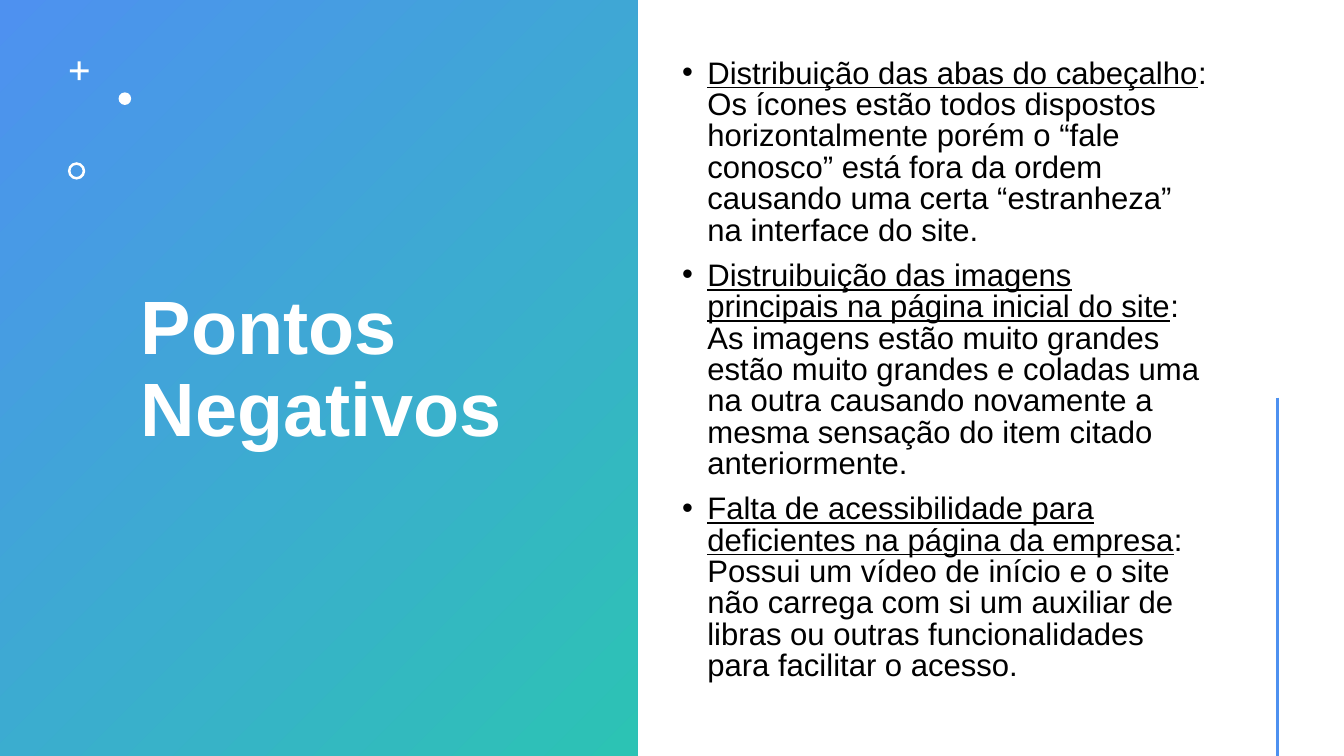
"""Builds the slide "Pontos Negativos" with a gradient panel and a bulleted list."""
from lxml import etree
from pptx import Presentation
from pptx.dml.color import RGBColor
from pptx.enum.shapes import MSO_CONNECTOR, MSO_SHAPE
from pptx.enum.text import MSO_ANCHOR
from pptx.oxml.ns import qn
from pptx.util import Pt

RECTANGLE, CROSS = MSO_SHAPE.RECTANGLE, MSO_SHAPE.CROSS
OVAL, DONUT = MSO_SHAPE.OVAL, MSO_SHAPE.DONUT
STRAIGHT = MSO_CONNECTOR.STRAIGHT
MIDDLE = MSO_ANCHOR.MIDDLE

WHITE = RGBColor(0xFF, 0xFF, 0xFF)
BLACK = RGBColor(0x00, 0x00, 0x00)
BLUE = RGBColor(0x4E, 0x91, 0xF0)
TEAL = RGBColor(0x2C, 0xC3, 0xB4)

FONT = "Arial"
SLIDE_WIDTH, SLIDE_HEIGHT = 960, 540
TEXT_TOP, TEXT_HEIGHT = 30, 470
BULLET_INDENT = 18

ORNAMENTS = [
    (CROSS, 49.9, 43.9, 13.4, 0.42),
    (OVAL, 84.7, 66, 9, None),
    (DONUT, 48.5, 115.9, 12.4, 0.15),
]

NEGATIVE_POINTS = [
    ("Distribuição das abas do cabeçalho",
     ": Os ícones estão todos dispostos horizontalmente porém o “fale conosco” "
     "está fora da ordem causando uma certa “estranheza” na interface do site."),
    ("Distruibuição das imagens principais na página inicial do site",
     ": As imagens estão muito grandes estão muito grandes e coladas uma na outra "
     "causando novamente a mesma sensação do item citado anteriormente."),
    ("Falta de acessibilidade para deficientes na página da empresa",
     ": Possui um vídeo de início e o site não carrega com si um auxiliar de "
     "libras ou outras funcionalidades para facilitar o acesso."),
]


def add_plain_shape(slide, kind, left, top, width, height):
    """Add a preset shape without shadow or outline."""
    shape = slide.shapes.add_shape(kind, Pt(left), Pt(top), Pt(width), Pt(height))
    shape.shadow.inherit = False
    shape.line.fill.background()
    return shape


def add_gradient_panel(slide, width):
    """Add the full-height panel that fades from blue to teal."""
    panel = add_plain_shape(slide, RECTANGLE, 0, 0, width, SLIDE_HEIGHT)
    panel.fill.gradient()
    panel.fill.gradient_angle = 315
    for stop, color in zip(panel.fill.gradient_stops, (BLUE, TEAL)):
        stop.color.rgb = color


def add_ornament(slide, kind, left, top, size, thickness):
    """Add one small white ornament."""
    ornament = add_plain_shape(slide, kind, left, top, size, size)
    ornament.fill.solid()
    ornament.fill.fore_color.rgb = WHITE
    if thickness is not None:
        ornament.adjustments[0] = thickness


def add_accent_line(slide, x, top, bottom):
    """Add the vertical accent line."""
    accent = slide.shapes.add_connector(STRAIGHT, Pt(x), Pt(top), Pt(x), Pt(bottom))
    accent.line.color.rgb = BLUE
    accent.line.width = Pt(2)
    etree.SubElement(accent.element.spPr, qn("a:effectLst"))


def add_text_frame(slide, left, width):
    """Add a wrapping, vertically centred text box and return its frame."""
    box = slide.shapes.add_textbox(Pt(left), Pt(TEXT_TOP), Pt(width), Pt(TEXT_HEIGHT))
    frame = box.text_frame
    frame.word_wrap = True
    frame.vertical_anchor = MIDDLE
    return frame


def add_run(paragraph, text, size, color, bold=False, underline=False):
    """Add one formatted run."""
    run = paragraph.add_run()
    run.text = text
    run.font.name = FONT
    run.font.size = Pt(size)
    run.font.color.rgb = color
    run.font.bold = bold
    run.font.underline = underline


def set_bullet(paragraph):
    """Give a paragraph a hanging round bullet."""
    properties = paragraph._p.get_or_add_pPr()
    properties.set("marL", str(Pt(BULLET_INDENT)))
    properties.set("indent", str(Pt(-BULLET_INDENT)))
    etree.SubElement(properties, qn("a:buFont"), typeface=FONT)
    etree.SubElement(properties, qn("a:buChar"), char="•")


def add_title(slide, text):
    """Add the slide title on the panel."""
    paragraph = add_text_frame(slide, 93.6, 315.4).paragraphs[0]
    paragraph.line_spacing = 0.9
    add_run(paragraph, text, 54, WHITE, bold=True)


def add_point_list(slide, points):
    """Add the bulleted list of underlined topics and explanations."""
    frame = add_text_frame(slide, 480.2, 392.4)
    for index, (topic, explanation) in enumerate(points):
        paragraph = frame.add_paragraph() if index else frame.paragraphs[0]
        paragraph.line_spacing = 0.84
        paragraph.space_before = Pt(10)
        set_bullet(paragraph)
        add_run(paragraph, topic, 22.2, BLACK, underline=True)
        add_run(paragraph, explanation, 22.2, BLACK)


def main():
    """Build and save the presentation."""
    presentation = Presentation()
    presentation.slide_width = Pt(SLIDE_WIDTH)
    presentation.slide_height = Pt(SLIDE_HEIGHT)
    slide = presentation.slides.add_slide(presentation.slide_layouts[6])
    add_gradient_panel(slide, 455.4)
    add_title(slide, "Pontos Negativos")
    for ornament in ORNAMENTS:
        add_ornament(slide, *ornament)
    add_point_list(slide, NEGATIVE_POINTS)
    add_accent_line(slide, 912.4, 284, SLIDE_HEIGHT)
    presentation.save("out.pptx")


if __name__ == "__main__":
    main()
